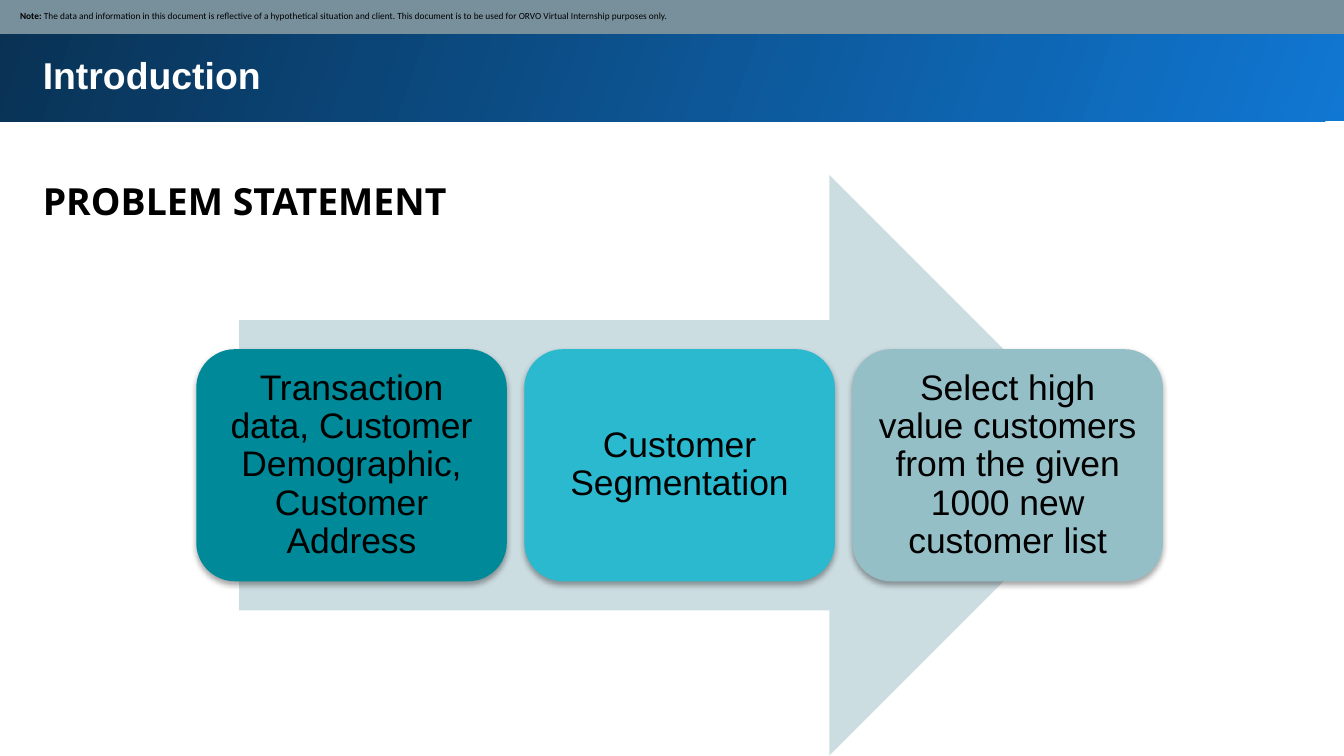
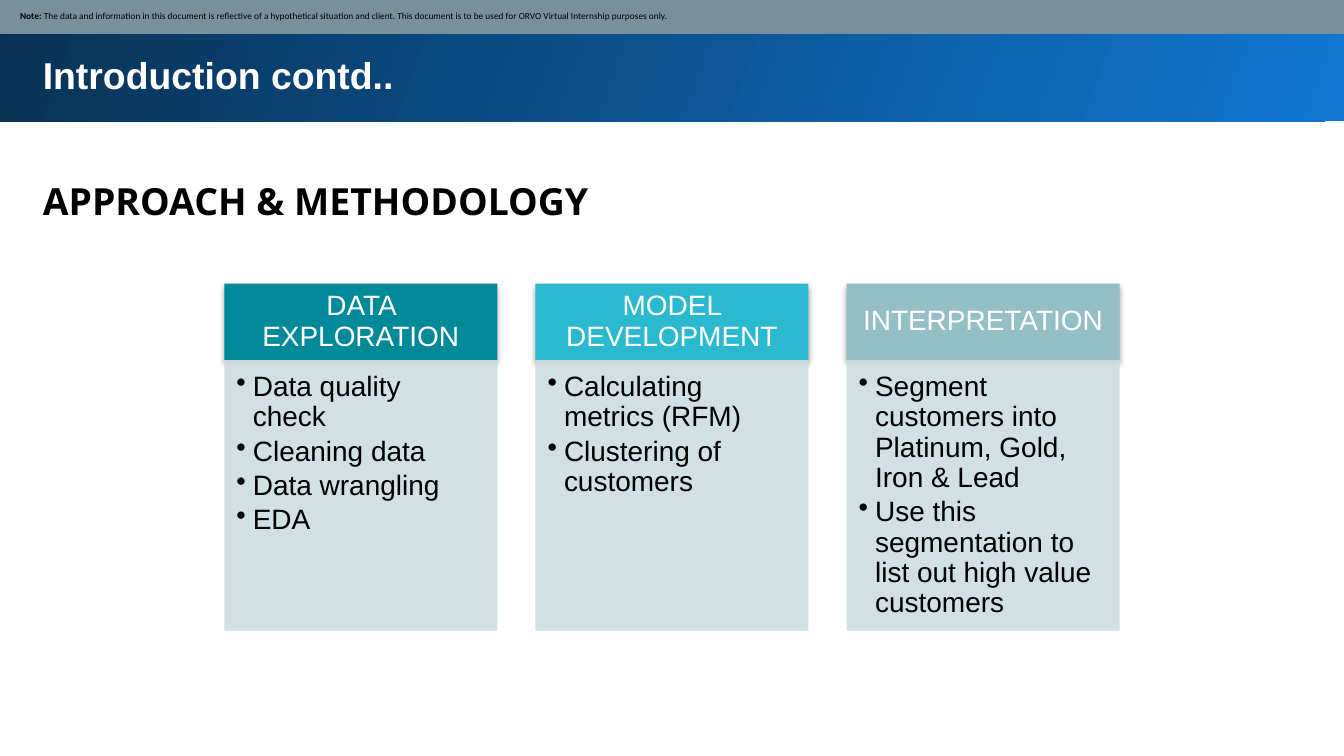
"""Builds two introduction slides: problem statement and approach."""
from dataclasses import dataclass

from lxml import etree
from pptx import Presentation
from pptx import util as u
from pptx.dml import color
from pptx.enum import shapes, text
from pptx.oxml import ns

NAVY, BLUE, SLATE = "093153", "1077D2", "78909C"
BLACK, WHITE, PALE = "000000", "FFFFFF", "CCDDE1"
STEP_COLOURS = ("008998", "2BB9CF", "95BFC7")
SLIDE_W, SLIDE_H = 25.4, 14.29
NOTE = ("The data and information in this document is reflective of a hypothetical "
        "situation and client. This document is to be used for ORVO Virtual "
        "Internship purposes only.")
STEPS = (
    "Transaction data, Customer Demographic, Customer Address",
    "Customer Segmentation",
    "Select high value customers from the given 1000 new customer list",
)
PHASES = (
    ("DATA EXPLORATION",
     ("Data quality check", "Cleaning data", "Data wrangling", "EDA")),
    ("MODEL DEVELOPMENT",
     ("Calculating metrics (RFM)", "Clustering of customers")),
    ("INTERPRETATION",
     ("Segment customers into Platinum, Gold, Iron & Lead",
      "Use this segmentation to list out high value customers")),
)


@dataclass
class Box:
    """A rectangle in centimetres."""
    left: float
    top: float
    width: float
    height: float

    def lengths(self):
        """Return the four sides as slide lengths."""
        return [u.Cm(side) for side in (self.left, self.top, self.width, self.height)]

    def columns(self, count, gap):
        """Split the box into equal columns."""
        width = (self.width - gap * (count - 1)) / count
        return [Box(self.left + i * (width + gap), self.top, width, self.height)
                for i in range(count)]


def rgb(colour):
    """Turn a hex string into a colour."""
    return color.RGBColor.from_string(colour)


def add_node(parent, tag, **attributes):
    """Append a drawing element."""
    return etree.SubElement(parent, ns.qn(tag), attributes)


def add_panel(slide, kind, box, fill=None, raised=False, opacity=None):
    """Add a shape without outline, optionally raised or translucent."""
    panel = slide.shapes.add_shape(kind, *box.lengths())
    panel.shadow.inherit = False
    panel.line.fill.background()
    if fill:
        panel.fill.solid()
        panel.fill.fore_color.rgb = rgb(fill)
    if opacity:
        tint = panel.fill._xPr.find(".//" + ns.qn("a:srgbClr"))
        add_node(tint, "a:alpha", val=str(opacity * 1000))
    if raised:
        effects = panel._element.spPr.find(ns.qn("a:effectLst"))
        shadow = add_node(effects, "a:outerShdw", blurRad=str(u.Pt(3)),
                          dist=str(u.Pt(1.8)), dir="5400000", rotWithShape="0")
        add_node(add_node(shadow, "a:srgbClr", val=BLACK), "a:alpha", val="35000")
    return panel


def set_frame(frame, insets, anchor=text.MSO_ANCHOR.MIDDLE):
    """Set wrapping, anchor and insets (left, top, right, bottom)."""
    frame.word_wrap = True
    frame.vertical_anchor = anchor
    (frame.margin_left, frame.margin_top,
     frame.margin_right, frame.margin_bottom) = [u.Cm(inset) for inset in insets]


def style(paragraph, size, colour, name="Arial", bold=False,
          align=text.PP_ALIGN.LEFT, spacing=1.0):
    """Set the font and layout of a paragraph."""
    paragraph.alignment = align
    paragraph.line_spacing = spacing
    font = paragraph.font
    font.size, font.name, font.bold = u.Pt(size), name, bold
    font.color.rgb = rgb(colour)


def add_label(panel, words, size, colour, insets):
    """Write centred words on a panel."""
    set_frame(panel.text_frame, insets)
    label = panel.text_frame.paragraphs[0]
    label.text = words
    style(label, size, colour, align=text.PP_ALIGN.CENTER, spacing=0.9)


def add_heading(slide, box, words, colour, name, spacing=1.0):
    """Add a bold one-line heading."""
    heading = slide.shapes.add_textbox(*box.lengths())
    set_frame(heading.text_frame, (0.25,) * 4, text.MSO_ANCHOR.TOP)
    line = heading.text_frame.paragraphs[0]
    line.text = words
    style(line, 20, colour, name, True, spacing=spacing)


def add_note(slide, box):
    """Add the disclaimer strip."""
    strip = add_panel(slide, shapes.MSO_SHAPE.RECTANGLE, box, SLATE)
    set_frame(strip.text_frame, (0.41, 0.13, 0.13, 0.13))
    line = strip.text_frame.paragraphs[0]
    style(line, 5, BLACK, "Calibri")
    for words, bold in (("Note: ", True), (NOTE, False)):
        run = line.add_run()
        run.text = words
        run.font.bold = bold


def add_banner(slide, box, title):
    """Add the gradient band with the slide title."""
    band = add_panel(slide, shapes.MSO_SHAPE.RECTANGLE, box)
    band.fill.gradient()
    band.fill.gradient_angle = 160
    for stop, colour, position in zip(band.fill.gradient_stops, (BLUE, NAVY), (0, 1)):
        stop.color.rgb = rgb(colour)
        stop.position = position
    title_box = Box(box.left + 0.61, box.top + 0.79, 23.8, 1.33)
    add_heading(slide, title_box, title, WHITE, "Arial")


def add_slide(deck, title, subtitle):
    """Add a slide with banner, subtitle and note."""
    slide = deck.slides.add_slide(deck.slide_layouts[6])
    add_banner(slide, Box(-0.05, -0.05, SLIDE_W + 0.12, 2.34), title)
    add_heading(slide, Box(0.56, 3, 23.8, 1.42), subtitle, BLACK, "Open Sans", 1.15)
    add_note(slide, Box(-0.03, -0.03, SLIDE_W + 0.07, 0.67))
    return slide


def add_process(slide, box, steps):
    """Add step cards in a row over a wide arrow."""
    arrow = Box(box.left + 0.81, box.top, box.width - 1.63, box.height)
    add_panel(slide, shapes.MSO_SHAPE.RIGHT_ARROW, arrow, PALE)
    row = Box(box.left, box.top + 0.3 * box.height, box.width, 0.4 * box.height)
    for card_box, words, colour in zip(row.columns(len(steps), 0.33), steps, STEP_COLOURS):
        card = add_panel(slide, shapes.MSO_SHAPE.ROUNDED_RECTANGLE, card_box, colour, True)
        add_label(card, words, 19, BLACK, (0.2,) * 4)


def add_bullets(panel, items):
    """Write a bulleted list on a panel."""
    frame = panel.text_frame
    set_frame(frame, (0.23, 0.23, 0.3, 0.33), text.MSO_ANCHOR.TOP)
    for i, item in enumerate(items):
        line = frame.add_paragraph() if i else frame.paragraphs[0]
        line.text = item
        style(line, 15, BLACK, spacing=0.9)
        line.space_after = u.Pt(2.2)
        properties = line._p.get_or_add_pPr()
        properties.set("marL", str(u.Cm(0.31)))
        properties.set("indent", str(-u.Cm(0.31)))
        bullet = add_node(properties, "a:buChar", char="•")
        properties.find(ns.qn("a:defRPr")).addprevious(bullet)


def add_phases(slide, box, phases):
    """Add one headed list per phase, side by side."""
    head_height = 1.45
    for column, (name, tasks), colour in zip(
            box.columns(len(phases), 0.72), phases, STEP_COLOURS):
        head_box = Box(column.left, column.top, column.width, head_height)
        body_box = Box(column.left, column.top + head_height,
                       column.width, column.height - head_height)
        head = add_panel(slide, shapes.MSO_SHAPE.RECTANGLE, head_box, colour, True)
        add_label(head, name, 15, WHITE, (0.3, 0.17, 0.3, 0.17))
        body = add_panel(slide, shapes.MSO_SHAPE.RECTANGLE, body_box, PALE, opacity=90)
        add_bullets(body, tasks)


def main():
    """Build and save the deck."""
    deck = Presentation()
    deck.slide_width, deck.slide_height = u.Cm(SLIDE_W), u.Cm(SLIDE_H)
    problem = add_slide(deck, "Introduction", "PROBLEM STATEMENT")
    add_process(problem, Box(3.71, 3.31, 18.27, 10.97), STEPS)
    approach = add_slide(deck, "Introduction contd..", "APPROACH & METHODOLOGY")
    add_phases(approach, Box(4.24, 5.36, 16.92, 6.56), PHASES)
    deck.save("out.pptx")


if __name__ == "__main__":
    main()
